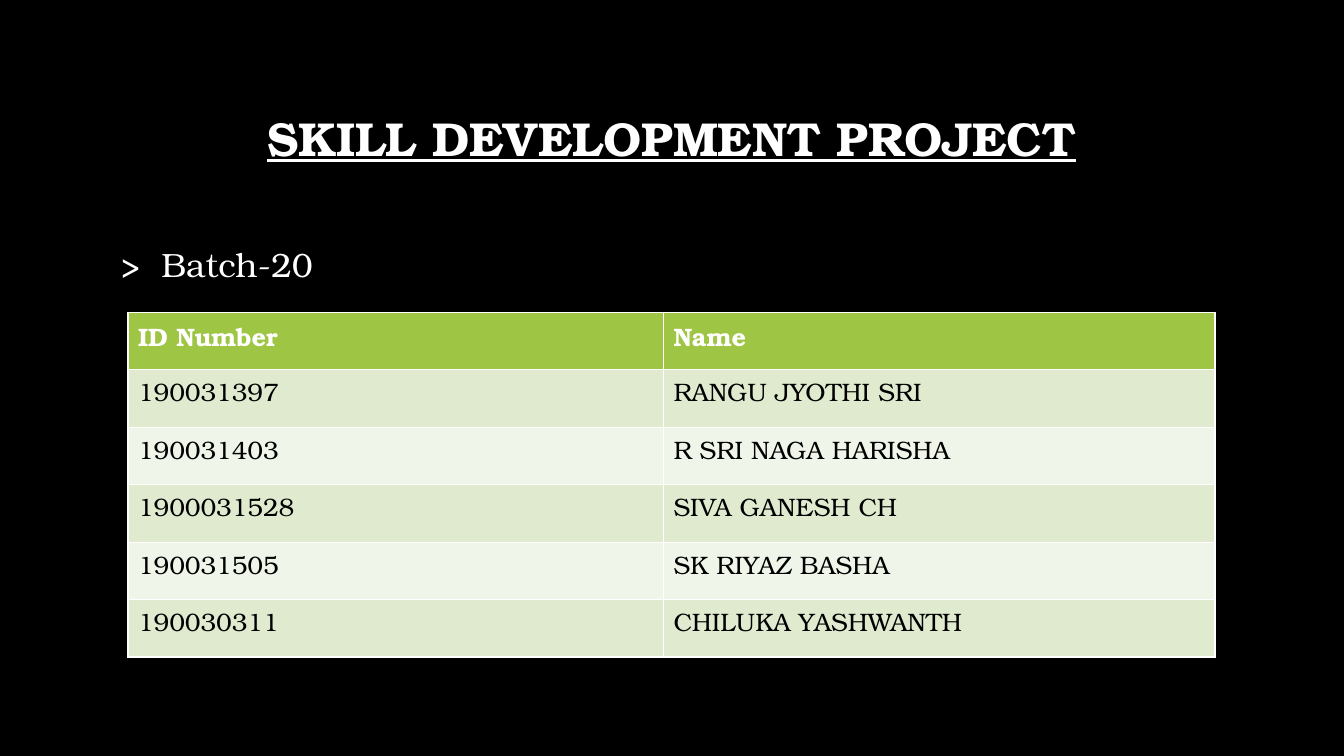
from lxml.etree import SubElement
from pptx import Presentation
from pptx.dml.color import RGBColor
from pptx.enum.text import MSO_ANCHOR, MSO_AUTO_SIZE, PP_ALIGN
from pptx.oxml.ns import qn
from pptx.util import Inches, Pt

BLACK = RGBColor(0x00, 0x00, 0x00)
WHITE = RGBColor(0xFF, 0xFF, 0xFF)
GREEN = RGBColor(0x9E, 0xC5, 0x44)
BANDS = RGBColor(0xDF, 0xEA, 0xCF), RGBColor(0xF0, 0xF5, 0xE9)

ROWS = [
    ("ID Number", "Name"),
    ("190031397", "RANGU JYOTHI SRI"),
    ("190031403", "R SRI NAGA HARISHA"),
    ("1900031528", "SIVA GANESH CH"),
    ("190031505", "SK RIYAZ BASHA"),
    ("190030311", "CHILUKA YASHWANTH"),
]


class Deck:
    face = "TeX Gyre Bonum"

    def __init__(self, slide):
        self.slide = slide
        fill = slide.background.fill
        fill.solid()
        fill.fore_color.rgb = BLACK

    def style(self, para, size, color, bold=False):
        font = para.font
        font.name, font.size, font.bold = self.face, Pt(size), bold
        font.color.rgb = color

    def place(self, shape, left, top, width, height):
        shape.left, shape.top = Inches(left), Inches(top)
        shape.width, shape.height = Inches(width), Inches(height)

    def title(self, text, box):
        shape = self.slide.shapes.title
        self.place(shape, *box)
        frame = shape.text_frame
        frame.text = text
        frame.auto_size = MSO_AUTO_SIZE.NONE
        frame.vertical_anchor = MSO_ANCHOR.MIDDLE
        para = frame.paragraphs[0]
        para.alignment = PP_ALIGN.CENTER
        para.line_spacing = 0.9
        self.style(para, 34, WHITE, True)
        para.font.underline = True

    def bullet(self, text, mark, box):
        shape = self.slide.placeholders[1]
        self.place(shape, *box)
        frame = shape.text_frame
        frame.text = text
        frame.auto_size = MSO_AUTO_SIZE.NONE
        para = frame.paragraphs[0]
        para.line_spacing = 1.2
        para.space_before = Pt(10)
        self.style(para, 24, WHITE)
        # Hanging indent with a custom bullet sign
        props = para._p.get_or_add_pPr()
        props.set("marL", str(Inches(0.5)))
        props.set("indent", str(Inches(-0.4)))
        sign = SubElement(props, qn("a:buFont"))
        sign.set("typeface", self.face)
        SubElement(props, qn("a:buChar")).set("char", mark)
        # The schema wants run defaults after the bullet
        props.append(props.find(qn("a:defRPr")))

    def table(self, rows, widths, left, top, pitch):
        frame = self.slide.shapes.add_table(
            len(rows), len(widths), Inches(left), Inches(top),
            Inches(sum(widths)), Inches(pitch * len(rows)))
        table = frame.table
        for col, width in zip(table.columns, widths):
            col.width = Inches(width)
        for i, row in enumerate(rows):
            head = i == 0
            table.rows[i].height = Inches(pitch)
            for j, text in enumerate(row):
                cell = table.cell(i, j)
                cell.text = text
                cell.fill.solid()
                cell.fill.fore_color.rgb = GREEN if head else BANDS[(i - 1) % 2]
                self.style(cell.text_frame.paragraphs[0], 18,
                           WHITE if head else BLACK, head)


def main():
    show = Presentation()
    show.slide_width, show.slide_height = Inches(13.33), Inches(7.5)
    deck = Deck(show.slides.add_slide(show.slide_layouts[1]))

    # Heading and batch
    deck.title("SKILL DEVELOPMENT PROJECT", (1, 0.67, 11.32, 1.45))
    deck.bullet("Batch-20", ">", (1, 2.29, 11.32, 4.04))

    # Members
    deck.table(ROWS, (5.31, 5.47), 1.27, 3.1, 0.57)

    show.save("out.pptx")


if __name__ == "__main__":
    main()
